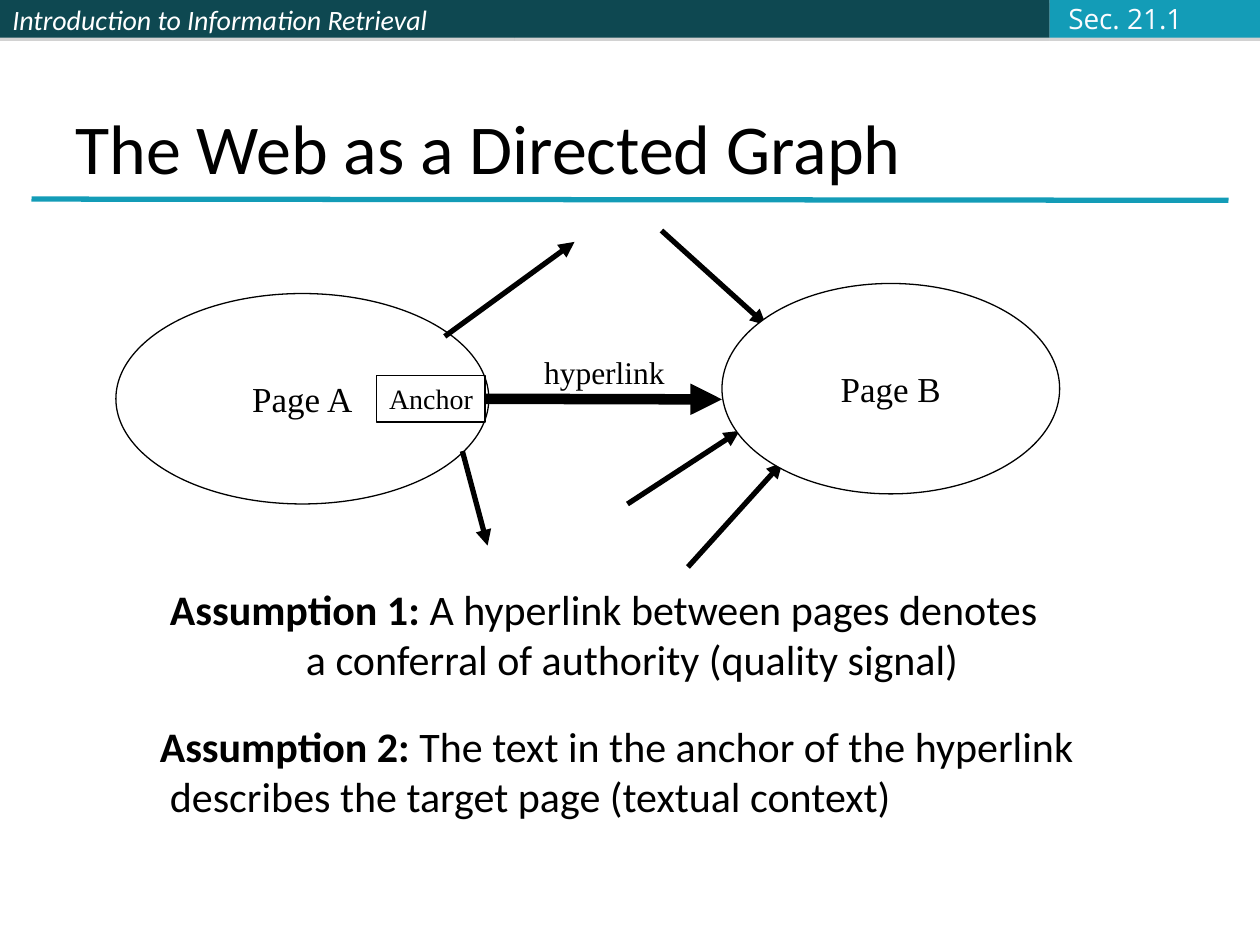
from lxml.etree import SubElement
from pptx import Presentation
from pptx.dml.color import RGBColor
from pptx.enum.shapes import MSO_CONNECTOR, MSO_SHAPE
from pptx.enum.text import MSO_ANCHOR, MSO_AUTO_SIZE, PP_ALIGN
from pptx.oxml.ns import qn
from pptx.util import Inches, Pt

BLACK = RGBColor(0x00, 0x00, 0x00)
WHITE = RGBColor(0xFF, 0xFF, 0xFF)
OFF_WHITE = RGBColor(0xFB, 0xFC, 0xFF)
DARK_TEAL = RGBColor(0x0E, 0x48, 0x51)
TEAL = RGBColor(0x13, 0x9C, 0xB7)
SANS, SERIF, LABEL = "Calibri", "Times New Roman", "Open Sans"


def set_font(p, name, size, color=BLACK):
    p.font.name = name
    p.font.size = Pt(size)
    p.font.color.rgb = color


def add_textbox(slide, left, top, width, height, wrap=False):
    sp = slide.shapes.add_textbox(Inches(left), Inches(top), Inches(width), Inches(height))
    sp.text_frame.word_wrap = wrap
    return sp.text_frame


def add_box(slide, kind, left, top, width, height, fill=None, line=None):
    sp = slide.shapes.add_shape(kind, Inches(left), Inches(top), Inches(width), Inches(height))
    sp.shadow.inherit = False
    if fill is None:
        sp.fill.background()
    else:
        sp.fill.solid()
        sp.fill.fore_color.rgb = fill
    if line is None:
        sp.line.fill.background()
    else:
        sp.line.color.rgb = line
        sp.line.width = Pt(0.75)
    return sp


def add_line(slide, x1, y1, x2, y2, color, width, arrow=False):
    cn = slide.shapes.add_connector(
        MSO_CONNECTOR.STRAIGHT, Inches(x1), Inches(y1), Inches(x2), Inches(y2))
    cn.line.color.rgb = color
    cn.line.width = Pt(width)
    if arrow:
        SubElement(cn.line._get_or_add_ln(), qn("a:tailEnd"), type="triangle")
    SubElement(cn._element.spPr, qn("a:effectLst"))
    return cn


def add_shadow(sp):
    effects = sp._element.spPr.find(qn("a:effectLst"))
    shadow = SubElement(effects, qn("a:outerShdw"), dist=str(Pt(1.8)), dir="5400000",
                        algn="ctr", rotWithShape="0")
    color = SubElement(shadow, qn("a:srgbClr"), val="808080")
    SubElement(color, qn("a:alpha"), val="35000")


def add_header(slide, left, top, width, height):
    bars = []
    x = left
    for share, color in ((0.408, DARK_TEAL), (0.425, DARK_TEAL), (0.167, TEAL)):
        sp = add_box(slide, MSO_SHAPE.RECTANGLE, x, top, share * width, height, color)
        add_shadow(sp)
        bars.append(sp)
        x += share * width
    tf = bars[0].text_frame
    tf.vertical_anchor = MSO_ANCHOR.MIDDLE
    p = tf.paragraphs[0]
    p.text = "Introduction to Information Retrieval"
    p.alignment = PP_ALIGN.LEFT
    p.font.italic = True
    set_font(p, SANS, 16, WHITE)

    tf = add_textbox(slide, left + 8.38, top - 0.04, 1.11, 0.37)
    tf.vertical_anchor = MSO_ANCHOR.MIDDLE
    p = tf.paragraphs[0]
    p.text = "Sec. 21.1"
    set_font(p, LABEL, 16, OFF_WHITE)


def add_title(slide, left, top, width, height):
    title = slide.shapes.title
    title.left, title.top = Inches(left), Inches(top)
    title.width, title.height = Inches(width), Inches(height)
    tf = title.text_frame
    tf.auto_size = MSO_AUTO_SIZE.NONE
    tf.vertical_anchor = MSO_ANCHOR.BOTTOM
    p = tf.paragraphs[0]
    p.text = "The Web as a Directed Graph"
    p.alignment = PP_ALIGN.LEFT
    set_font(p, SANS, 40)
    rule = top + height + 0.03
    add_line(slide, left - 0.25, rule, left + width + 0.25, rule + 0.01, TEAL, 3)


def add_page(slide, name, left, top, width, height):
    sp = add_box(slide, MSO_SHAPE.OVAL, left, top, width, height, WHITE, BLACK)
    tf = sp.text_frame
    tf.word_wrap = False
    tf.vertical_anchor = MSO_ANCHOR.MIDDLE
    p = tf.paragraphs[0]
    p.text = name
    p.alignment = PP_ALIGN.CENTER
    set_font(p, SERIF, 20)


def add_graph(slide, left, top):
    add_page(slide, "Page A", left, top + 0.5, 2.96, 1.67)
    anchor = add_box(slide, MSO_SHAPE.RECTANGLE, left + 2.07, top + 1.15, 0.86, 0.37, line=BLACK)
    tf = anchor.text_frame
    tf.word_wrap = False
    tf.vertical_anchor = MSO_ANCHOR.TOP
    p = tf.paragraphs[0]
    p.text = "Anchor"
    p.alignment = PP_ALIGN.LEFT
    set_font(p, SERIF, 16)

    link = add_line(slide, left + 2.93, top + 1.34, left + 4.81, top + 1.34, BLACK, 6, arrow=True)
    link.begin_connect(anchor, 3)
    p = add_textbox(slide, left + 3.3, top + 0.92, 1.16, 0.4).paragraphs[0]
    p.text = "hyperlink"
    set_font(p, SERIF, 18)

    arrows = (
        (2.75, 1.75, 2.95, 2.5),
        (2.61, 0.84, 3.64, 0.09),
        (4.06, 2.17, 4.95, 1.59),
        (4.54, 2.67, 5.29, 1.84),
        (4.33, 0, 5.16, 0.75),
    )
    for x1, y1, x2, y2 in arrows:
        add_line(slide, left + x1, top + y1, left + x2, top + y2, BLACK, 3, arrow=True)
    add_page(slide, "Page B", left + 4.81, top + 0.42, 2.68, 1.67)


def add_assumption(slide, left, top, width, height, label, first, second, indent):
    tf = add_textbox(slide, left, top, width, height, wrap=True)
    p = tf.paragraphs[0]
    r = p.add_run()
    r.text = label
    r.font.bold = True
    p.add_run().text = " " + first
    set_font(p, SANS, 24)
    p = tf.add_paragraph()
    p.text = second
    p._p.get_or_add_pPr().set("marL", str(Inches(indent)))
    set_font(p, SANS, 24)


def main():
    prs = Presentation()
    prs.slide_width, prs.slide_height = Inches(10), Inches(7.5)
    slide = prs.slides.add_slide(prs.slide_layouts[5])
    add_header(slide, 0, 0, 10, 0.3)
    add_title(slide, 0.5, 0.3, 9, 1.25)
    add_assumption(slide, 1.25, 4.58, 8.08, 0.9, "Assumption 1:",
                   "A hyperlink between pages denotes",
                   "a conferral of authority (quality signal)", 1.08)
    add_assumption(slide, 1.17, 5.67, 8.42, 0.9, "Assumption 2:",
                   "The text in the anchor of the hyperlink",
                   "describes the target page (textual context)", 0.08)
    add_graph(slide, 0.92, 1.83)
    prs.save("out.pptx")


if __name__ == "__main__":
    main()
